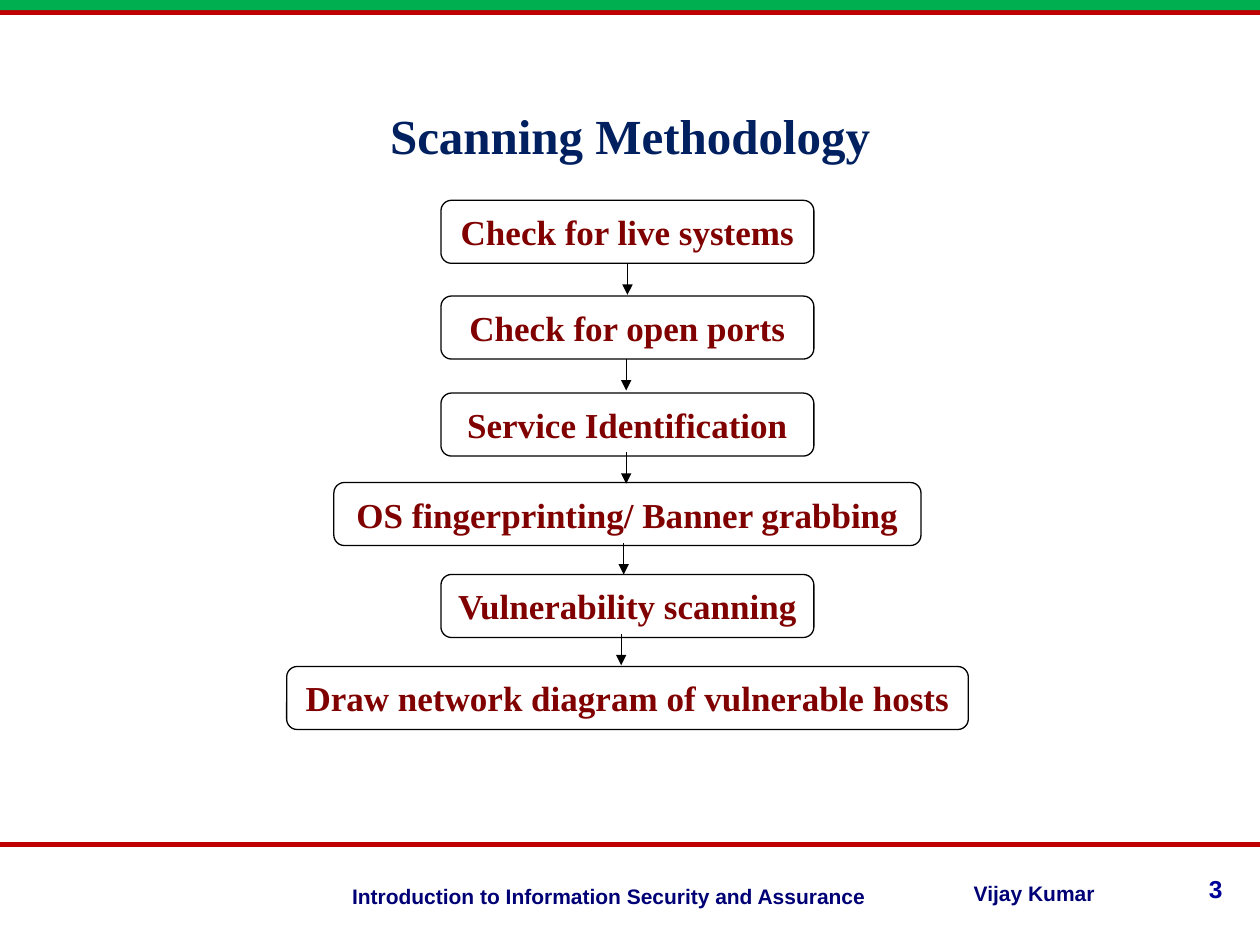
from lxml import etree
from pptx import Presentation
from pptx import util as u
from pptx.dml.color import RGBColor
from pptx.enum import shapes, text
from pptx.oxml.ns import qn

COLUMNS, ROWS = 100, 75
COLORS = {
    "white": "FFFFFF", "black": "000000", "green": "00B050", "red": "C00000",
    "title": "002060", "step": "800000", "footer": "000076", "number": "000099",
}
ALIGN = text.PP_ALIGN


class SlideBuilder:
    heading_font = "Times New Roman"
    footer_font = "Arial"

    def __init__(self, presentation):
        self.width = presentation.slide_width
        self.height = presentation.slide_height
        self.slide = presentation.slides.add_slide(presentation.slide_layouts[5])

    def color(self, name):
        return RGBColor.from_string(COLORS[name])

    def x(self, columns):
        return u.Emu(round(self.width * columns / COLUMNS))

    def y(self, rows):
        return u.Emu(round(self.height * rows / ROWS))

    def area(self, left, top, width, height):
        return self.x(left), self.y(top), self.x(width), self.y(height)

    def set_text(self, shape, words, font, size, color, align):
        paragraph = shape.text_frame.paragraphs[0]
        paragraph.text = words
        paragraph.alignment = align
        paragraph.font.name = font
        paragraph.font.size = u.Pt(size)
        paragraph.font.bold = True
        paragraph.font.color.rgb = self.color(color)

    def title(self, words, *area):
        shape = self.slide.shapes.title
        shape.left, shape.top, shape.width, shape.height = self.area(*area)
        shape.fill.solid()
        shape.fill.fore_color.rgb = self.color("white")
        shape.text_frame.vertical_anchor = text.MSO_ANCHOR.MIDDLE
        self.set_text(shape, words, self.heading_font, 28, "title", ALIGN.CENTER)

    def label(self, words, area, align, size=12, color="footer"):
        shape = self.slide.shapes.add_textbox(*self.area(*area))
        shape.text_frame.word_wrap = True
        self.set_text(shape, words, self.footer_font, size, color, align)

    def band(self, color, *area):
        shape = self.slide.shapes.add_shape(
            shapes.MSO_SHAPE.RECTANGLE, *self.area(*area))
        shape.shadow.inherit = False
        shape.fill.solid()
        shape.fill.fore_color.rgb = self.color(color)
        shape.line.fill.background()

    def step(self, words, *area):
        shape = self.slide.shapes.add_shape(
            shapes.MSO_SHAPE.ROUNDED_RECTANGLE, *self.area(*area))
        shape.shadow.inherit = False
        shape.fill.background()
        shape.line.color.rgb = self.color("black")
        shape.line.width = u.Pt(0.75)
        shape.text_frame.word_wrap = False
        shape.text_frame.vertical_anchor = text.MSO_ANCHOR.MIDDLE
        self.set_text(shape, words, self.heading_font, 20, "step", ALIGN.CENTER)

    def line(self, start, end, color, width, arrow=False):
        connector = self.slide.shapes.add_connector(
            shapes.MSO_CONNECTOR.STRAIGHT,
            self.x(start[0]), self.y(start[1]), self.x(end[0]), self.y(end[1]))
        connector.line.color.rgb = self.color(color)
        connector.line.width = u.Pt(width)
        properties = connector._element.spPr
        if arrow:
            etree.SubElement(properties.find(qn("a:ln")), qn("a:tailEnd"), type="triangle")
        etree.SubElement(properties, qn("a:effectLst"))


presentation = Presentation()
presentation.slide_width = u.Inches(10)
presentation.slide_height = u.Inches(7.5)
builder = SlideBuilder(presentation)

for row in (67, 1):
    builder.line((0, row), (COLUMNS, row), "red", 3)
builder.band("green", 0, 0, COLUMNS, 0.8)
builder.label("Introduction to Information Security and Assurance",
              (25.4, 69.6, 44.3, 2.9), ALIGN.RIGHT)
builder.label("Vijay Kumar", (76.3, 69.4, 12.6, 2.7), ALIGN.JUSTIFY)
builder.label("3", (91.5, 68.9, 6.5, 2.7), ALIGN.RIGHT, 14, "number")
builder.title("Scanning Methodology", 7.5, 6.7, 85, 8)

STEP_CENTER, STEP_HEIGHT = 49.8, 5
STEPS = [
    ("Check for live systems", 15.9, 29.6),
    ("Check for open ports", 23.5, 29.6),
    ("Service Identification", 31.2, 29.6),
    ("OS fingerprinting/ Banner grabbing", 38.3, 46.6),
    ("Vulnerability scanning", 45.6, 29.6),
    ("Draw network diagram of vulnerable hosts", 52.9, 54.1),
]
for words, top, width in STEPS:
    builder.step(words, STEP_CENTER - width / 2, top, width, STEP_HEIGHT)

ARROW_LENGTH = 2.5
ARROW_STARTS = [(49.8, 20.9), (49.7, 28.5), (49.7, 35.9), (49.5, 43.1), (49.3, 50.3)]
for column, row in ARROW_STARTS:
    builder.line((column, row), (column, row + ARROW_LENGTH), "black", 0.75, arrow=True)

presentation.save("out.pptx")
